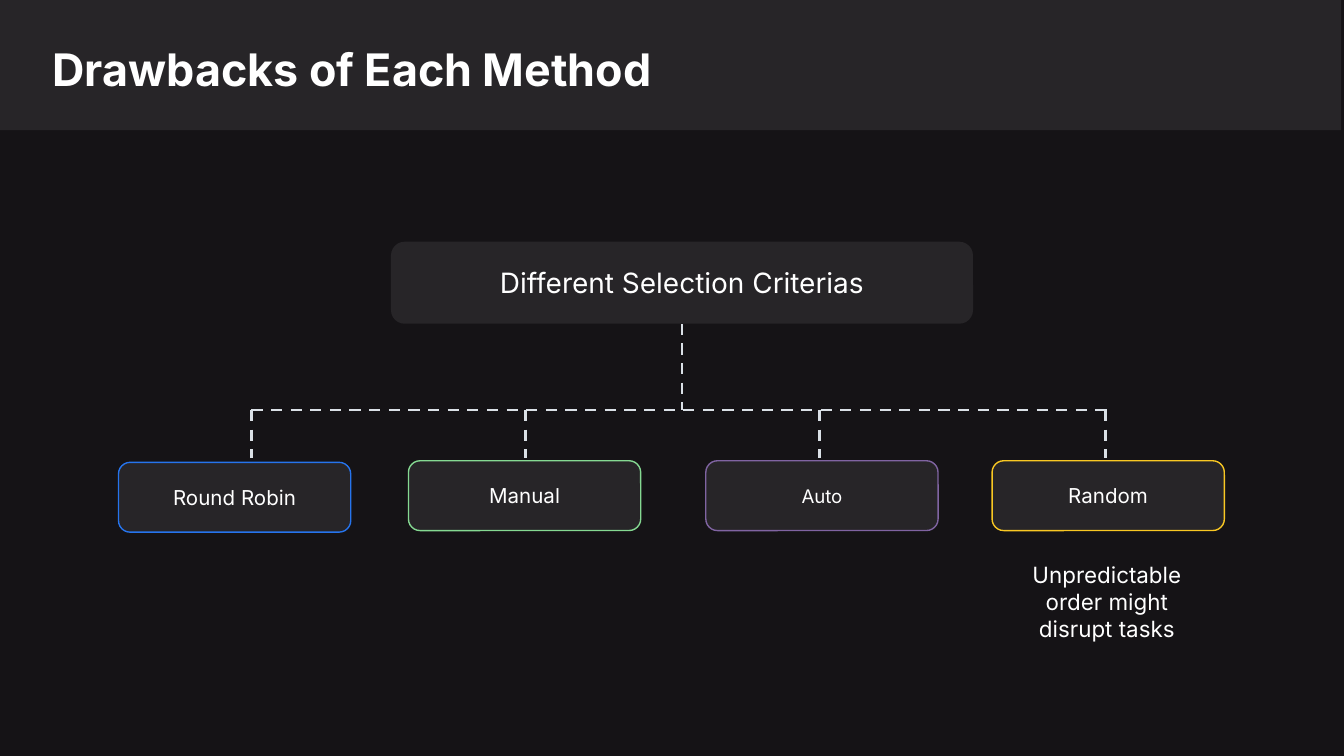
import pptx
import pptx.util
import pptx.dml.color
import pptx.enum.dml
import pptx.enum.shapes
import pptx.enum.text
import pptx.oxml

Cm = pptx.util.Cm
Pt = pptx.util.Pt
SHAPE = pptx.enum.shapes.MSO_SHAPE
ALIGN = pptx.enum.text.PP_ALIGN
ANCHOR = pptx.enum.text.MSO_ANCHOR

DARK, PANEL, WHITE, RULE = "151316", "272528", "FFFFFF", "DAE0E6"

TITLE = "Drawbacks of Each Method"
ROOT = "Different Selection Criterias"
NOTE = "Unpredictable order might disrupt tasks"
METHODS = [
    ("Round Robin", 2.24, 8.74, 4.75, 11, "2674ED"),
    ("Manual", 7.72, 8.71, 9.93, 11, "85D992"),
    ("Auto", 13.34, 8.71, 15.49, 10, "8064A2"),
    ("Random", 18.75, 8.71, 20.9, 11, "F9C823"),
]
BOX_W, BOX_H = 4.39, 1.32
ROOT_BOX = (7.39, 4.57, 11, 1.55)
BUS_Y, BUS_RIGHT, DROP_END = 7.75, 21.03, 8.66


def rgb(value):
    return pptx.dml.color.RGBColor.from_string(value)


def write(sp, text, size, align, anchor, bold=False):
    tf = sp.text_frame
    frame = {"word_wrap": True, "auto_size": pptx.enum.text.MSO_AUTO_SIZE.NONE,
             "vertical_anchor": anchor}
    for side in ("left", "top", "right", "bottom"):
        frame["margin_" + side] = Cm(0.25)
    for name, value in frame.items():
        setattr(tf, name, value)
    p = tf.paragraphs[0]
    p.alignment = align
    r = p.add_run()
    r.text = text
    for name, value in {"name": "Inter", "size": Pt(size), "bold": bold}.items():
        setattr(r.font, name, value)
    r.font.color.rgb = rgb(WHITE)


def panel(s, kind, box, line=None):
    sp = s.shapes.add_shape(kind, *map(Cm, box))
    sp.shadow.inherit = False
    sp.fill.solid()
    sp.fill.fore_color.rgb = rgb(PANEL)
    if line:
        sp.line.color.rgb = rgb(line)
        sp.line.width = Pt(0.75)
    else:
        sp.line.fill.background()
    return sp


def dashed(s, *ends):
    cn = s.shapes.add_connector(pptx.enum.shapes.MSO_CONNECTOR.STRAIGHT, *map(Cm, ends))
    cn.line.color.rgb = rgb(RULE)
    cn.line.width = Pt(1.5)
    cn.line.dash_style = pptx.enum.dml.MSO_LINE.DASH
    cn._element.spPr.append(pptx.oxml.parse_xml(
        '<a:effectLst xmlns:a="http://schemas.openxmlformats.org/drawingml/2006/main"/>'))


def main():
    prs = pptx.Presentation()
    prs.slide_width, prs.slide_height = Cm(25.4), Cm(14.29)
    s = prs.slides.add_slide(prs.slide_layouts[5])
    s.background.fill.solid()
    s.background.fill.fore_color.rgb = rgb(DARK)

    band = panel(s, SHAPE.RECTANGLE, (0, -0.03, 25.35, 2.49))
    s.shapes._spTree.insert(2, band._element)
    title = s.shapes.title
    place = zip(("left", "top", "width", "height"), (0.74, 0.53, 23.55, 1.47))
    for name, value in place:
        setattr(title, name, Cm(value))
    write(title, TITLE, 24, ALIGN.LEFT, ANCHOR.TOP, True)

    x, y, w, h = ROOT_BOX
    dashed(s, x + w / 2, y + h, x + w / 2, BUS_Y)
    dashed(s, METHODS[0][3], BUS_Y, BUS_RIGHT, BUS_Y)
    root = panel(s, SHAPE.ROUNDED_RECTANGLE, ROOT_BOX)
    write(root, ROOT, 15, ALIGN.CENTER, ANCHOR.MIDDLE)

    for name, left, top, drop, size, color in METHODS:
        dashed(s, drop, BUS_Y, drop, DROP_END)
        sp = panel(s, SHAPE.ROUNDED_RECTANGLE, (left, top, BOX_W, BOX_H), color)
        write(sp, name, size, ALIGN.CENTER, ANCHOR.MIDDLE)

    note = s.shapes.add_textbox(Cm(18.85), Cm(10.36), Cm(4.14), Cm(1.02))
    write(note, NOTE, 12, ALIGN.CENTER, ANCHOR.TOP)
    prs.save("out.pptx")


if __name__ == "__main__":
    main()
